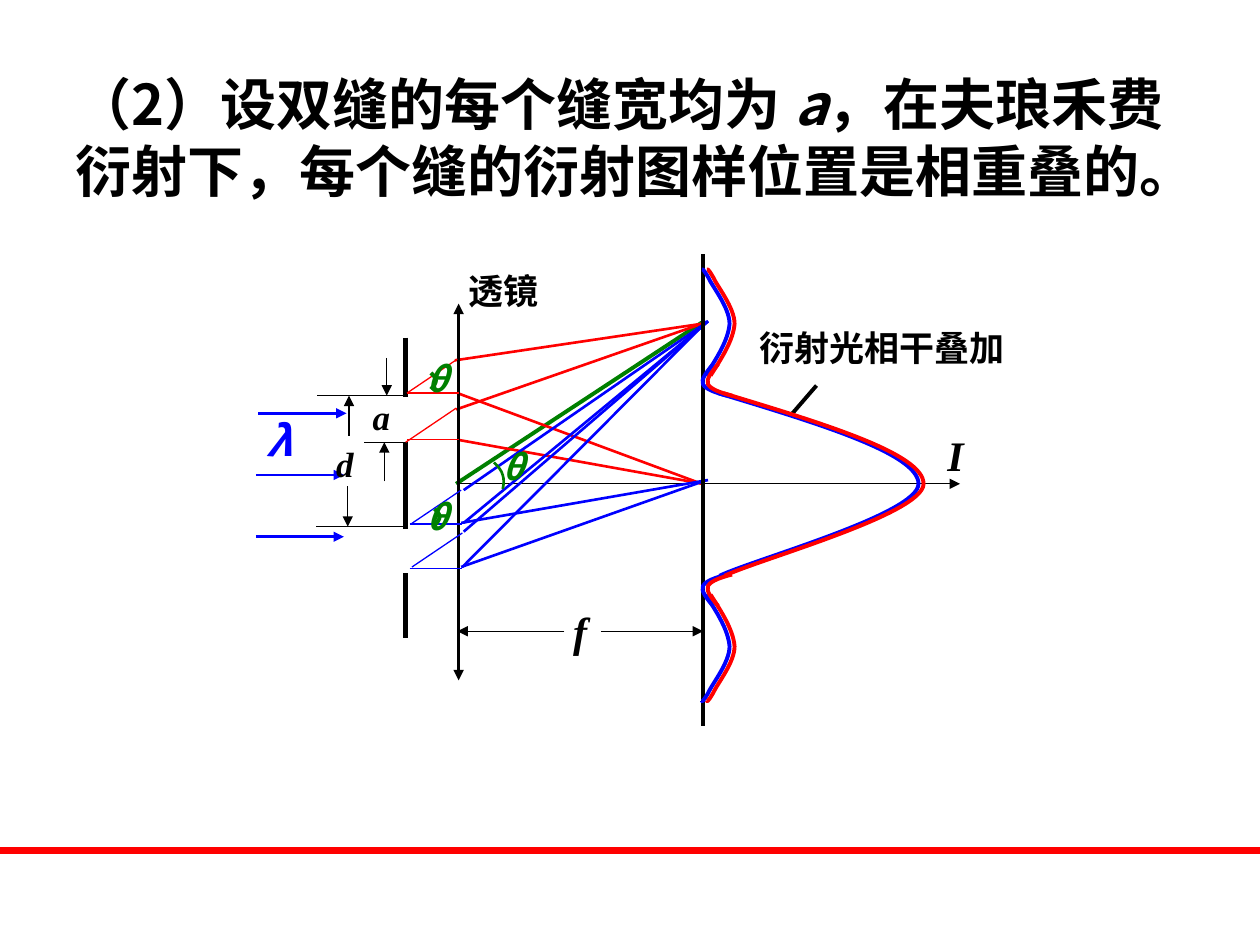
import dataclasses

import pptx
import pptx.dml.color
import pptx.enum.shapes
import pptx.enum.text
import pptx.oxml
import pptx.oxml.ns
import pptx.util
from pptx.util import Cm

RGB = pptx.dml.color.RGBColor.from_string
NS = pptx.oxml.ns.nsdecls("a")


@dataclasses.dataclass(frozen=True)
class Theme:
    black: str = "000000"
    red: str = "FF0000"
    blue: str = "0000FF"
    green: str = "008000"
    title: int = 32
    symbol: int = 24
    label: int = 20
    sans: str = "Noto Sans CJK SC"
    serif: str = "Times New Roman"


T = Theme()
INCH = 2.54  # the diagram is laid out in inches
AXIS = 3.85  # mirror line of the diffraction pattern


def add_run(p, text, size, font, color, italic=False):
    r = p.add_run()
    r.text = text
    r.font.size, r.font.name = pptx.util.Pt(size), font
    r.font.bold, r.font.italic = True, italic
    r.font.color.rgb = RGB(color)
    ea = pptx.oxml.parse_xml(f'<a:ea {NS} typeface="{T.sans}"/>')
    r.font._element.find(pptx.oxml.ns.qn("a:latin")).addnext(ea)


def make_cubic(sp):
    """Turn every three line segments of a freeform into one cubic Bézier segment."""
    lines = list(sp._element.iter(pptx.oxml.ns.qn("a:lnTo")))
    for i in range(0, len(lines), 3):
        cubic = pptx.oxml.parse_xml(f"<a:cubicBezTo {NS}/>")
        lines[i].addprevious(cubic)
        for line in lines[i:i + 3]:
            cubic.append(line[0])
            line.getparent().remove(line)


prs = pptx.Presentation()
prs.slide_width, prs.slide_height = Cm(25.4), Cm(19.05)
s = prs.slides.add_slide(prs.slide_layouts[5])

# Title
sp = s.shapes.title
sp.left, sp.top, sp.width, sp.height = Cm(1.27), Cm(1.27), Cm(23.06), Cm(4.32)
tf = sp.text_frame
tf.word_wrap = True
tf.auto_size = pptx.enum.text.MSO_AUTO_SIZE.SHAPE_TO_FIT_TEXT
tf.vertical_anchor = pptx.enum.text.MSO_ANCHOR.TOP
p = tf.paragraphs[0]
p.alignment = pptx.enum.text.PP_ALIGN.LEFT
for text, italic in (("（2）设双缝的每个缝宽均为 ", False), ("a", True),
                     ("，在夫琅禾费衍射下，每个缝的衍射图样位置是相重叠的。", False)):
    add_run(p, text, T.title, T.sans, T.black, italic)

# Straight lines: colour, width, arrowheads, then (x1, y1, x2, y2) from back to front
TAIL, BOTH = ("tailEnd",), ("headEnd", "tailEnd")
line_sets = [
    # footer rule and incoming light
    (T.red, 4.5, (), [(0, 6.75, 10, 6.75)]),
    (T.blue, 1.5, TAIL, [(2.05, 3.28, 2.75, 3.28), (2.03, 3.77, 2.73, 3.77),
                         (2.03, 4.26, 2.73, 4.26)]),
    # optical axis and central ray
    (T.black, 0.75, TAIL, [(3.62, 3.84, 7.62, 3.84)]),
    (T.green, 2.25, (), [(3.62, 3.84, 5.57, 2.56)]),
    # rays from the lens to the screen
    (T.red, 1.5, (), [(3.61, 2.86, 5.57, 2.57), (3.62, 3.25, 5.57, 2.57),
                      (3.63, 3.12, 5.57, 3.84), (3.63, 3.49, 5.58, 3.84)]),
    (T.blue, 1.5, (), [(3.67, 4.5, 5.61, 2.55), (3.68, 4.15, 5.62, 2.55),
                       (3.68, 3.89, 5.62, 2.55), (3.68, 4.22, 5.62, 2.55),
                       (3.66, 4.15, 5.62, 3.81), (3.66, 4.5, 5.61, 3.81)]),
    # slit plate, extension lines, dimension arrows
    (T.black, 3, (), [(3.22, 2.68, 3.22, 3.15), (3.22, 3.51, 3.22, 4.2),
                      (3.22, 4.55, 3.22, 5.06)]),
    (T.black, 0.75, (), [(2.52, 3.14, 3.22, 3.14), (2.51, 4.18, 3.21, 4.18),
                         (2.89, 3.51, 3.21, 3.51)]),
    (T.black, 0.75, TAIL, [(3.07, 2.84, 3.07, 3.14), (3.05, 3.82, 3.05, 3.51),
                           (2.76, 3.86, 2.76, 4.18), (2.77, 3.46, 2.77, 3.14),
                           (4.77, 5.01, 5.58, 5.01), (4.48, 5.01, 3.63, 5.01)]),
    # lens, then screen
    (T.black, 1.5, BOTH, [(3.64, 2.41, 3.64, 5.4)]),
    (T.black, 2.25, (), [(5.58, 2.02, 5.58, 5.76)]),
    # rays from the slits to the lens
    (T.red, 0.75, (), [(3.22, 3.51, 3.62, 3.24), (3.23, 3.12, 3.63, 2.85),
                       (3.23, 3.12, 3.64, 3.12), (3.23, 3.49, 3.64, 3.49)]),
    (T.blue, 0.75, (), [(3.25, 4.16, 3.67, 4.16), (3.25, 4.51, 3.67, 4.51),
                        (3.26, 4.16, 3.66, 3.89), (3.27, 4.5, 3.67, 4.23)]),
    # leader of the pattern label
    (T.black, 2.25, (), [(6.29, 3.28, 6.48, 3.06)]),
]
for color, width, heads, segments in line_sets:
    for segment in segments:
        cxn = s.shapes.add_connector(pptx.enum.shapes.MSO_CONNECTOR.STRAIGHT,
                                     *(Cm(v * INCH) for v in segment))
        cxn.line.color.rgb = RGB(color)
        cxn.line.width = pptx.util.Pt(width)
        for head in heads:
            cxn.line._get_or_add_ln().append(
                pptx.oxml.parse_xml(f'<a:{head} {NS} type="triangle"/>'))
        cxn._element.spPr.append(pptx.oxml.parse_xml(f"<a:effectLst {NS}/>"))

# Curves: colour, width, start point and three points for each cubic segment
small_arc = [(3.42, 2.96), (3.44, 2.98), (3.46, 3), (3.46, 3.02),
             (3.46, 3.04), (3.44, 3.07), (3.42, 3.09)]
curves = [
    (T.green, 1.5, [(3.92, 3.67), (3.95, 3.7), (3.98, 3.73), (3.99, 3.77),
                    (4, 3.8), (4, 3.84), (3.99, 3.88)]),
    (T.green, 2.25, small_arc),
    (T.green, 2.25, [(x + 0.03, y + 1.08) for x, y in small_arc]),
]

# Diffraction pattern of each slit: central peak, then knee and side lobe mirrored in the axis
peak = [(5.7, 3.12), (6.49, 3.36), (7.29, 3.6), (7.29, 3.84),
        (7.29, 4.08), (5.98, 4.44), (5.71, 4.57)]
knee = [(5.77, 3.14), (5.69, 3.12), (5.6, 3.09), (5.58, 3.05),
        (5.56, 3.01), (5.61, 2.95), (5.66, 2.89)]
lobe = [(5.6, 2.98), (5.69, 2.84), (5.78, 2.7), (5.79, 2.57), (5.79, 2.44),
        (5.65, 2.27), (5.62, 2.2), (5.58, 2.13), (5.57, 2.13), (5.57, 2.14)]
pattern = [peak]
for part in (knee, lobe):
    pattern += [part, [(x, 2 * AXIS - y) for x, y in part]]
for color, shift in ((T.blue, 0), (T.red, 0.04)):
    curves += [(color, 2.25, [(x + shift, y) for x, y in part]) for part in pattern]

for color, width, points in curves:
    start, *rest = [(Cm(x * INCH), Cm(y * INCH)) for x, y in points]
    fb = s.shapes.build_freeform(*start)
    fb.add_line_segments(rest, close=False)
    sp = fb.convert_to_shape()
    make_cubic(sp)
    sp.shadow.inherit = False
    sp.fill.background()
    sp.line.color.rgb = RGB(color)
    sp.line.width = pptx.util.Pt(width)

# Labels: text, left, top, width, height, size, font, colour, italic
labels = [
    ("λ", 2.02, 3.24, 0.61, 0.5, T.symbol, T.sans, T.blue, True),
    ("θ", 3.89, 3.49, 0.52, 0.43, T.label, T.sans, T.green, True),
    ("θ", 3.29, 2.79, 0.54, 0.55, T.label, T.sans, T.green, True),
    ("θ", 3.29, 3.88, 0.54, 0.55, T.label, T.sans, T.green, True),
    ("a", 2.86, 3.09, 0.41, 0.36, T.label, T.serif, T.black, True),
    ("d", 2.57, 3.46, 0.41, 0.36, T.label, T.serif, T.black, True),
    ("f", 4.45, 4.76, 0.55, 0.62, T.symbol, T.serif, T.black, True),
    ("I", 7.42, 3.36, 0.41, 0.48, T.symbol, T.serif, T.black, True),
    ("透镜", 3.62, 2.09, 0.78, 0.4, T.label, T.serif, T.black, False),
    ("衍射光相干叠加", 5.93, 2.54, 2.32, 0.38, T.label, T.serif, T.black, False),
]
for text, left, top, width, height, *style in labels:
    sp = s.shapes.add_textbox(*(Cm(v * INCH) for v in (left, top, width, height)))
    tf = sp.text_frame
    tf.word_wrap = True
    p = tf.paragraphs[0]
    p.alignment = pptx.enum.text.PP_ALIGN.JUSTIFY
    add_run(p, text, *style)

prs.save("out.pptx")
